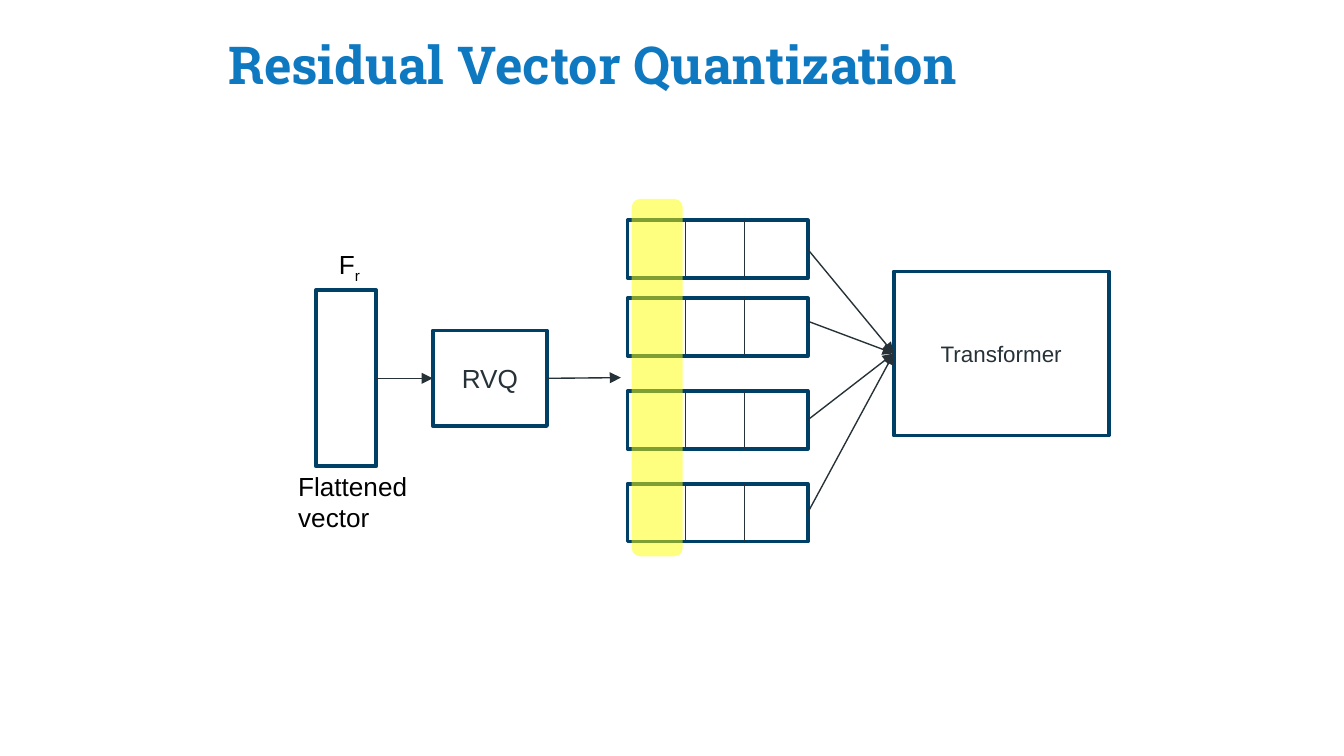
"""Draw the residual vector quantization slide."""
from dataclasses import dataclass
from typing import Optional

from lxml import etree
from pptx import Presentation
from pptx import util as u
from pptx.dml import color
from pptx.enum import shapes, text
from pptx.oxml import ns

IN = u.Inches


@dataclass(frozen=True)
class Theme:
    title: str = "0E78C0"
    edge: str = "004067"
    ink: str = "263238"
    black: str = "000000"
    white: str = "FFFFFF"
    glow: str = "FFFF00"
    head: str = "Roboto Slab"
    body: str = "Arial"
    big: int = 28
    mid: int = 14
    small: int = 12
    thick: float = 2
    thin: float = 0.75


@dataclass(frozen=True)
class Area:
    x: float
    y: float
    w: float
    h: float


@dataclass(frozen=True)
class Row:
    y: float
    exit: Optional[float] = None


T = Theme()
BOX = shapes.MSO_SHAPE.RECTANGLE
PILL = shapes.MSO_SHAPE.ROUNDED_RECTANGLE
ROWS = [Row(1.64), Row(2.22, 2.39), Row(2.91), Row(3.6)]
ROW_X, ROW_W, ROW_H = 4.67, 1.34, 0.43
CUTS = (5.1, 5.54)
LEFT, RIGHT = 1, 3


def rgb(code: str) -> color.RGBColor:
    """Turn a hex code into a colour."""
    return color.RGBColor.from_string(code)


def place(area: Area) -> list:
    """Give the area as lengths."""
    return [IN(v) for v in (area.x, area.y, area.w, area.h)]


def style(frame, size: int, ink: str, face: str = T.body, bold: bool = False) -> None:
    """Set the font of every run in the frame."""
    for para in frame.paragraphs:
        for run in para.runs:
            font = run.font
            font.name, font.size, font.bold = face, u.Pt(size), bold
            font.color.rgb = rgb(ink)


def box(slide, area: Area, label: str = "", size: int = T.mid):
    """Draw an outlined box with an optional centred label."""
    shape = slide.shapes.add_shape(BOX, *place(area))
    shape.shadow.inherit = False
    shape.fill.solid()
    shape.fill.fore_color.rgb = rgb(T.white)
    shape.line.color.rgb = rgb(T.edge)
    shape.line.width = u.Pt(T.thick)
    if label:
        frame = shape.text_frame
        frame.text = label
        frame.vertical_anchor = text.MSO_ANCHOR.MIDDLE
        frame.paragraphs[0].alignment = text.PP_ALIGN.CENTER
        style(frame, size, T.ink)
    return shape


def note(slide, area: Area, words: str):
    """Add a wrapping text box and return its frame."""
    frame = slide.shapes.add_textbox(*place(area)).text_frame
    frame.word_wrap = True
    frame.text = words
    return frame


def line(slide, start: tuple, end: tuple, arrow: bool = False):
    """Draw a thin line, with an arrowhead if asked."""
    link = slide.shapes.add_connector(
        shapes.MSO_CONNECTOR.STRAIGHT, *[IN(v) for v in (*start, *end)])
    link.line.color.rgb = rgb(T.ink)
    link.line.width = u.Pt(T.thin)
    if arrow:
        tail = etree.SubElement(link.line._get_or_add_ln(), ns.qn("a:tailEnd"))
        tail.set("type", "triangle")
    etree.SubElement(link._element.spPr, ns.qn("a:effectLst"))
    return link


def codes(slide, row: Row):
    """Draw one row of three code cells."""
    shape = box(slide, Area(ROW_X, row.y, ROW_W, ROW_H))
    for x in CUTS:
        line(slide, (x, row.y), (x, row.y + ROW_H))
    return shape


def glow(slide, area: Area) -> None:
    """Lay a half-clear highlight over the first cells."""
    shape = slide.shapes.add_shape(PILL, *place(area))
    shape.shadow.inherit = False
    shape.fill.solid()
    shape.fill.fore_color.rgb = rgb(T.glow)
    shape.line.fill.background()
    tint = shape._element.spPr.find(".//" + ns.qn("a:srgbClr"))
    etree.SubElement(tint, ns.qn("a:alpha")).set("val", "50000")


def main() -> None:
    """Build and save the slide."""
    deck = Presentation()
    deck.slide_width = IN(10)
    deck.slide_height = IN(10 * 9 / 16)
    slide = deck.slides.add_slide(deck.slide_layouts[6])

    frame = note(slide, Area(1.6, -0.11, 6.47, 1.17), "Residual Vector Quantization")
    frame.vertical_anchor = text.MSO_ANCHOR.MIDDLE
    frame.margin_left = frame.margin_right = IN(0.1)
    frame.margin_top = frame.margin_bottom = IN(0.1)
    style(frame, T.big, T.title, T.head, True)

    vector = box(slide, Area(2.35, 2.16, 0.45, 1.31))
    rvq = box(slide, Area(3.22, 2.46, 0.85, 0.71), "RVQ")
    feed = line(slide, (2.8, 2.82), (3.22, 2.82), True)
    feed.begin_connect(vector, RIGHT)
    feed.end_connect(rvq, LEFT)
    line(slide, (4.07, 2.82), (4.62, 2.81), True).begin_connect(rvq, RIGHT)

    frame = note(slide, Area(2.13, 1.8, 0.94, 0.4), "F")
    para = frame.paragraphs[0]
    para.alignment = text.PP_ALIGN.CENTER
    sub = para.add_run()
    sub.text = "r"
    style(frame, T.mid, T.black)
    sub.font._element.set("baseline", "-25000")

    rows = [codes(slide, row) for row in ROWS]
    model = box(slide, Area(6.65, 2.02, 1.6, 1.22), "Transformer", T.small)
    for row, shape in zip(ROWS, rows):
        start = (ROW_X + ROW_W, row.exit or row.y + ROW_H / 2)
        link = line(slide, start, (6.65, 2.63), True)
        if row.exit is None:
            link.begin_connect(shape, RIGHT)
        link.end_connect(model, LEFT)
    glow(slide, Area(4.7, 1.48, 0.38, 2.66))

    frame = note(slide, Area(2.12, 3.45, 1.63, 0.57), "Flattened\nvector")
    style(frame, T.mid, T.black)
    deck.save("out.pptx")


if __name__ == "__main__":
    main()
